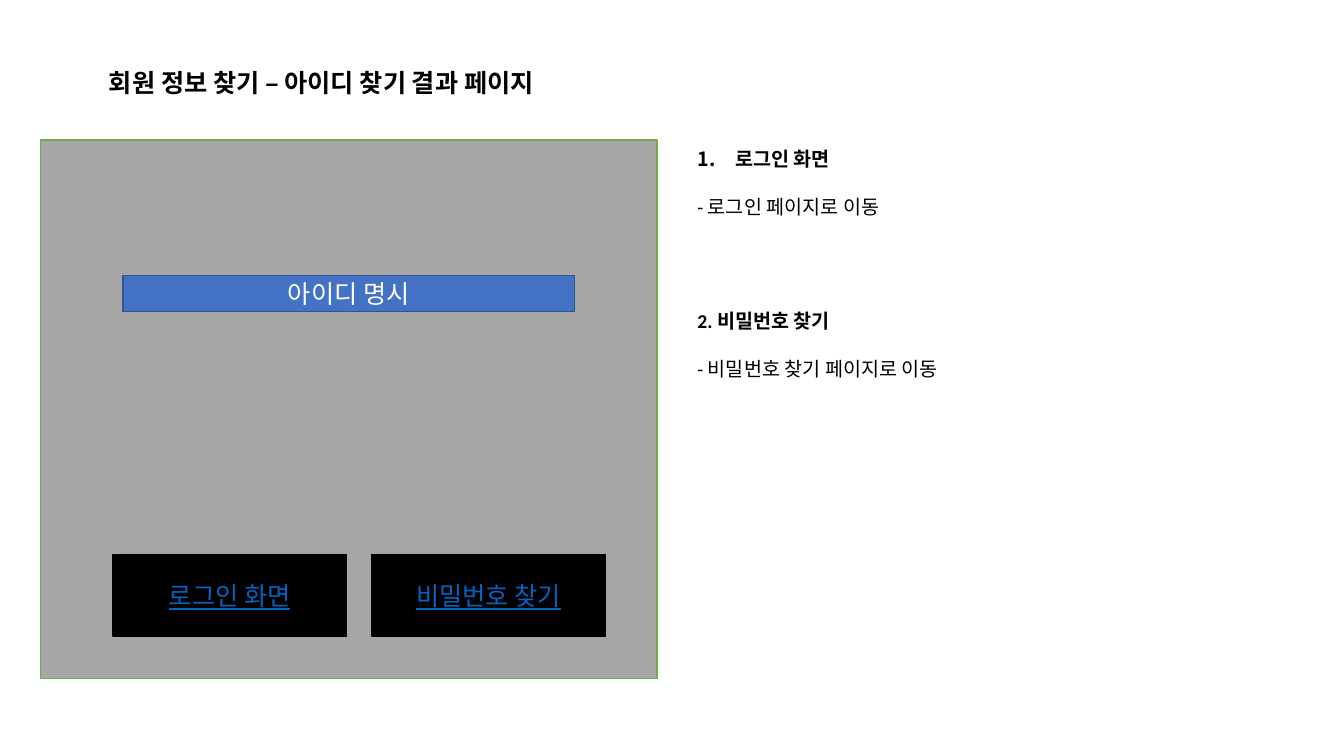
"""Build the wireframe slide for the find-ID result page."""
from lxml import etree
from pptx import Presentation
from pptx.dml.color import RGBColor
from pptx.enum.shapes import MSO_SHAPE
from pptx.enum.text import MSO_ANCHOR, MSO_AUTO_SIZE, PP_ALIGN
from pptx.oxml.ns import qn
from pptx.util import Pt

RECTANGLE = MSO_SHAPE.RECTANGLE
TOP, MIDDLE = MSO_ANCHOR.TOP, MSO_ANCHOR.MIDDLE
LEFT, CENTER = PP_ALIGN.LEFT, PP_ALIGN.CENTER
NO_AUTOFIT = MSO_AUTO_SIZE.NONE

BLACK = RGBColor(0x00, 0x00, 0x00)
WHITE = RGBColor(0xFF, 0xFF, 0xFF)
GRAY = RGBColor(0xA6, 0xA6, 0xA6)
GREEN = RGBColor(0x70, 0xAD, 0x47)
BLUE = RGBColor(0x44, 0x72, 0xC4)
DARK_BLUE = RGBColor(0x32, 0x54, 0x91)
LINK_BLUE = RGBColor(0x05, 0x63, 0xC1)


def write_run(para, text, color, **formats):
    span = para.add_run()
    span.text = text
    span.font.color.rgb = color
    for name, value in {"name": "Calibri", **formats}.items():
        setattr(span.font, name, value)


def add_box(shapes, bounds, fill, line):
    box = shapes.add_shape(RECTANGLE, *map(Pt, bounds))
    box.shadow.inherit = False
    box.fill.solid()
    box.fill.fore_color.rgb = fill
    box.line.color.rgb = line
    box.line.width = Pt(1)
    box.text_frame.vertical_anchor = MIDDLE
    box.text_frame.paragraphs[0].alignment = CENTER
    return box


deck = Presentation()
deck.slide_width, deck.slide_height = Pt(960), Pt(540)
page = deck.slides.add_slide(deck.slide_layouts[3])
title, *notes = page.placeholders

screen = page.shapes.add_group_shape()
add_box(screen.shapes, (28.8, 100.1, 440.6, 384.5), GRAY, GREEN)
result = add_box(screen.shapes, (87.8, 196.6, 322.6, 25.9), BLUE, DARK_BLUE)
write_run(result.text_frame.paragraphs[0], "아이디 명시", WHITE, size=Pt(18))

for index, label in enumerate(["로그인 화면", "비밀번호 찾기"]):
    button = add_box(page.shapes, (80.6 + 185 * index, 396, 167, 58.3), BLACK, BLACK)
    write_run(button.text_frame.paragraphs[0], label, LINK_BLUE, size=Pt(18), underline=True)

frames = [
    (title, (70.6, 44.6, 389.5, 28.8)),
    (notes[0], (491, 101.5, 415.4, 58.3)),
    (notes[1], (491, 217.4, 415.4, 58.3)),
]
for holder, bounds in frames:
    holder.left, holder.top, holder.width, holder.height = map(Pt, bounds)
    frame_formats = {"auto_size": NO_AUTOFIT, "word_wrap": True, "vertical_anchor": TOP}
    for name, value in frame_formats.items():
        setattr(holder.text_frame, name, value)

heading = title.text_frame.paragraphs[0]
heading.alignment = LEFT
write_run(heading, "회원 정보 찾기 – 아이디 찾기 결과 페이지", BLACK, size=Pt(18), bold=True)

note_texts = [
    ("로그인 화면", "- 로그인 페이지로 이동", True),
    ("2. 비밀번호 찾기", "- 비밀번호 찾기 페이지로 이동", False),
]
for note, (topic, detail, numbered) in zip(notes, note_texts):
    frame = note.text_frame
    for para, text, is_topic in [
        (frame.paragraphs[0], topic, True),
        (frame.add_paragraph(), detail, False),
    ]:
        properties = para._p.get_or_add_pPr()
        if numbered and is_topic:
            indent = Pt(27)
            etree.SubElement(properties, qn("a:buFont"), typeface="+mj-lt")
            etree.SubElement(properties, qn("a:buAutoNum"), type="arabicPeriod")
        else:
            indent = Pt(0)
            etree.SubElement(properties, qn("a:buNone"))
        properties.set("marL", str(indent))
        properties.set("indent", str(-indent))
        para.space_before = Pt(0 if is_topic else 17)
        write_run(para, text, BLACK, size=Pt(14), bold=is_topic)

deck.save("out.pptx")
